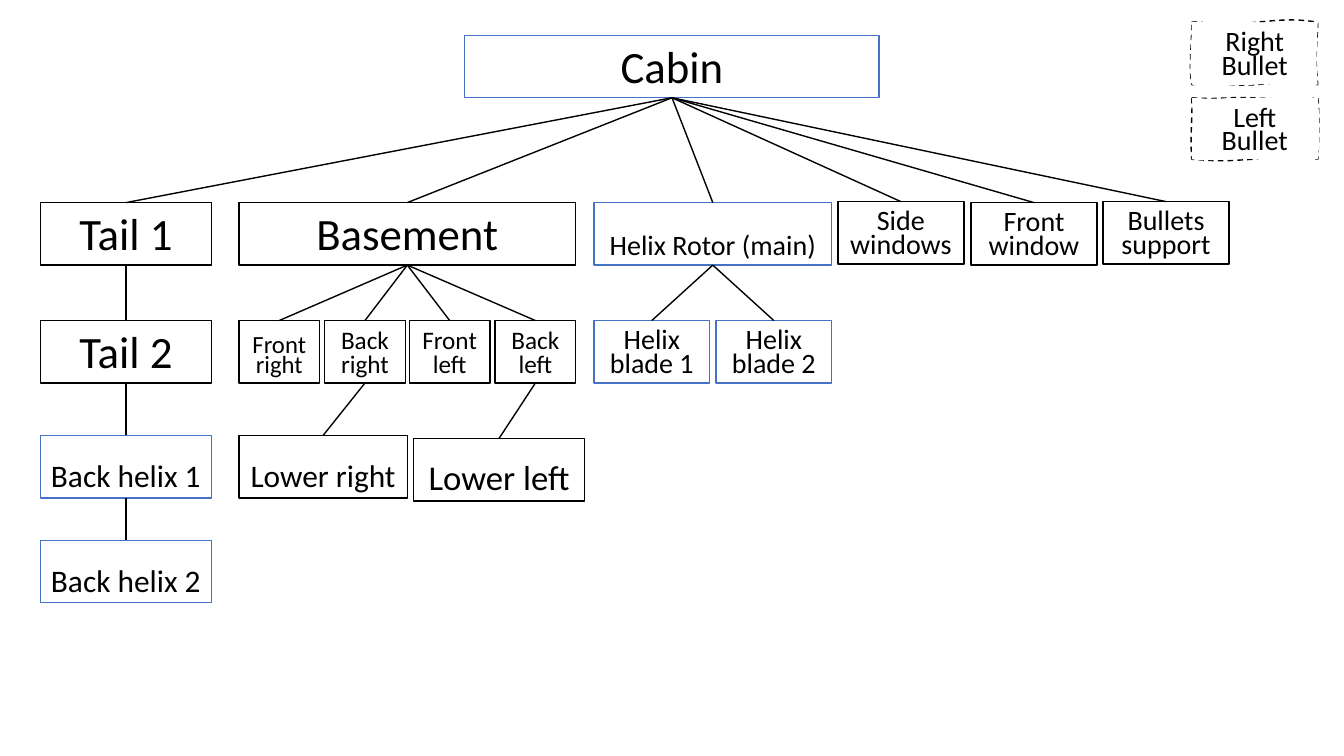
import pptx
import pptx.dml.color
import pptx.enum.dml
import pptx.enum.shapes
import pptx.enum.text
import pptx.oxml.ns
import pptx.util
from lxml import etree

Inches = pptx.util.Inches
Pt = pptx.util.Pt
qn = pptx.oxml.ns.qn
BLACK = pptx.dml.color.RGBColor(0x00, 0x00, 0x00)
WHITE = pptx.dml.color.RGBColor(0xFF, 0xFF, 0xFF)
BLUE = pptx.dml.color.RGBColor(0x44, 0x72, 0xC4)

BOX_H = 0.62
TOP, BOTTOM = 0, 2  # connection sites of a rectangle

# Name: (text, left, top, width, size, line spacing, line colour)
PARTS = {
    "cabin": ("Cabin", 4.61, 0.35, 4.11, 32, 0.9, BLUE),
    "tail 1": ("Tail 1", 0.4, 2.01, 1.7, 32, 0.9, BLACK),
    "tail 2": ("Tail 2", 0.4, 3.18, 1.7, 32, 0.9, BLACK),
    "back helix 1": ("Back helix 1", 0.4, 4.32, 1.7, 22.4, 0.7, BLUE),
    "back helix 2": ("Back helix 2", 0.4, 5.36, 1.7, 22.4, 0.7, BLUE),
    "basement": ("Basement", 2.37, 2.01, 3.34, 32, 0.9, BLACK),
    "front right": ("Front right", 2.37, 3.18, 0.8, 17.6, 0.7, BLACK),
    "back right": ("Back\nright", 3.22, 3.18, 0.8, 18, 0.8, BLACK),
    "front left": ("Front left", 4.06, 3.18, 0.8, 18, 0.8, BLACK),
    "back left": ("Back\nleft", 4.91, 3.18, 0.8, 18, 0.8, BLACK),
    "lower right": ("Lower right", 2.37, 4.32, 1.67, 22.4, 0.7, BLACK),
    "lower left": ("Lower left", 4.1, 4.35, 1.7, 24.8, 0.7, BLACK),
    "rotor": ("Helix Rotor (main)", 5.89, 2.01, 2.36, 20, 0.7, BLUE),
    "blade 1": ("Helix blade 1", 5.89, 3.18, 1.15, 20, 0.7, BLUE),
    "blade 2": ("Helix blade 2", 7.1, 3.18, 1.15, 20, 0.7, BLUE),
    "side windows": ("Side windows", 8.31, 2, 1.25, 20, 0.7, BLACK),
    "front window": ("Front window", 9.63, 2.01, 1.25, 20, 0.7, BLACK),
    "support": ("Bullets support", 10.94, 2, 1.25, 20, 0.7, BLACK),
}

CHILDREN = {
    "cabin": ["tail 1", "basement", "rotor", "side windows", "front window", "support"],
    "tail 1": ["tail 2"],
    "tail 2": ["back helix 1"],
    "back helix 1": ["back helix 2"],
    "basement": ["front right", "back right", "front left", "back left"],
    "back right": ["lower right"],
    "back left": ["lower left"],
    "rotor": ["blade 1", "blade 2"],
}

# Text, top, curves of the dashed outline, curves of the fill; in 1/100 inch
# from the top left corner, each row being two control points and an end point
BULLETS = [
    ("Right Bullet", 0.22,
     [(16, -2, 37, 3, 65, 0), (93, -3, 106, -3, 125, 0), (124, 30, 122, 32, 125, 62),
      (97, 60, 91, 59, 64, 62), (36, 64, 30, 59, 0, 62), (-3, 45, 0, 23, 0, 0)],
     [(15, -2, 35, -1, 61, 0), (88, 1, 111, 1, 125, 0), (124, 22, 123, 48, 125, 62),
      (94, 63, 86, 60, 62, 62), (38, 63, 19, 63, 0, 62), (-3, 42, 0, 30, 0, 0)]),
    ("Left Bullet", 0.97,
     [(29, 2, 31, -1, 59, 0), (86, 1, 94, 0, 125, 0), (127, 17, 126, 43, 125, 61),
      (93, 60, 93, 60, 61, 61), (29, 63, 28, 63, 0, 61), (-2, 39, 1, 18, 0, 0)],
     [(22, 2, 36, 0, 60, 0), (84, 0, 96, -3, 125, 0), (127, 17, 127, 49, 125, 61),
      (106, 63, 76, 63, 62, 61), (49, 59, 21, 64, 0, 61), (0, 47, 3, 25, 0, 0)]),
]


class Diagram:
    def __init__(self, slide, font="Calibri"):
        self.shapes = slide.shapes
        self.font = font

    def style(self, sp, text, size, spacing, color):
        """Give a shape its fill, outline and bottom-anchored text."""
        sp.shadow.inherit = False
        sp.fill.solid()
        sp.fill.fore_color.rgb = WHITE
        sp.line.color.rgb = color
        sp.line.width = Pt(1)
        tf = sp.text_frame
        tf.word_wrap = True
        tf.vertical_anchor = pptx.enum.text.MSO_ANCHOR.BOTTOM
        for i, words in enumerate(text.split("\n")):
            p = tf.add_paragraph() if i else tf.paragraphs[0]
            p.alignment = pptx.enum.text.PP_ALIGN.CENTER
            p.line_spacing = spacing
            r = p.add_run()
            r.text = words
            r.font.name = self.font
            r.font.size = Pt(size)
            r.font.color.rgb = BLACK

    def box(self, text, left, top, width, size, spacing, color):
        sp = self.shapes.add_shape(
            pptx.enum.shapes.MSO_SHAPE.RECTANGLE,
            Inches(left), Inches(top), Inches(width), Inches(BOX_H))
        self.style(sp, text, size, spacing, color)
        return sp

    def link(self, parent, child):
        line = self.shapes.add_connector(
            pptx.enum.shapes.MSO_CONNECTOR.STRAIGHT, 0, 0, 0, 0)
        line.begin_connect(parent, BOTTOM)
        line.end_connect(child, TOP)
        line.line.color.rgb = BLACK
        line.line.width = Pt(1)
        etree.SubElement(line._element.spPr, qn("a:effectLst"))

    def sketch(self, text, left, top, width, outline, fill):
        """Draw a hand-drawn dashed box from curves."""
        builder = self.shapes.build_freeform(0, 0, scale=Inches(0.01))
        w, h = round(width * 100), round(BOX_H * 100)
        builder.add_line_segments([(w, 0), (w, h), (0, h)])
        sp = builder.convert_to_shape(Inches(left), Inches(top))
        contours = sp._element.spPr.find(".//" + qn("a:pathLst"))
        contours.remove(contours[0])
        for curves, hidden in ((outline, {"fill": "none"}), (fill, {"stroke": "0"})):
            contour = etree.SubElement(contours, qn("a:path"), w=str(w), h=str(h), **hidden)
            self.add_points(etree.SubElement(contour, qn("a:moveTo")), (0, 0))
            for curve in curves:
                self.add_points(etree.SubElement(contour, qn("a:cubicBezTo")), curve)
            etree.SubElement(contour, qn("a:close"))
        self.style(sp, text, 20, 0.7, BLACK)
        sp.line.dash_style = pptx.enum.dml.MSO_LINE.DASH

    @staticmethod
    def add_points(segment, coords):
        for x, y in zip(coords[::2], coords[1::2]):
            etree.SubElement(segment, qn("a:pt"), x=str(x), y=str(y))


def main():
    prs = pptx.Presentation()
    prs.slide_width, prs.slide_height = Inches(13.33), Inches(7.5)
    diagram = Diagram(prs.slides.add_slide(prs.slide_layouts[6]))
    boxes = {name: diagram.box(*part) for name, part in PARTS.items()}
    for parent, children in CHILDREN.items():
        for child in children:
            diagram.link(boxes[parent], boxes[child])
    for text, top, outline, fill in BULLETS:
        diagram.sketch(text, 11.82, top, 1.25, outline, fill)
    prs.save("out.pptx")


if __name__ == "__main__":
    main()
